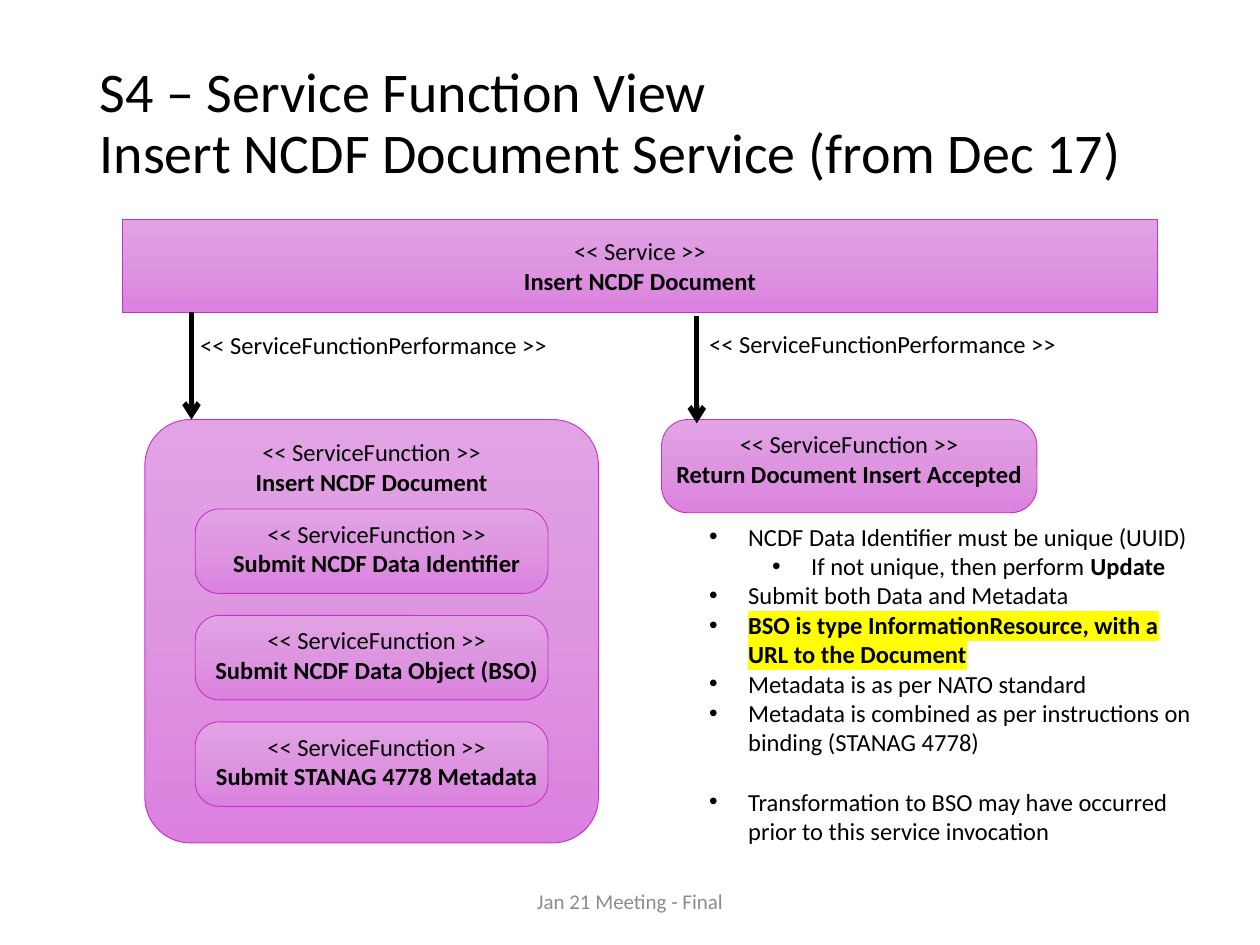
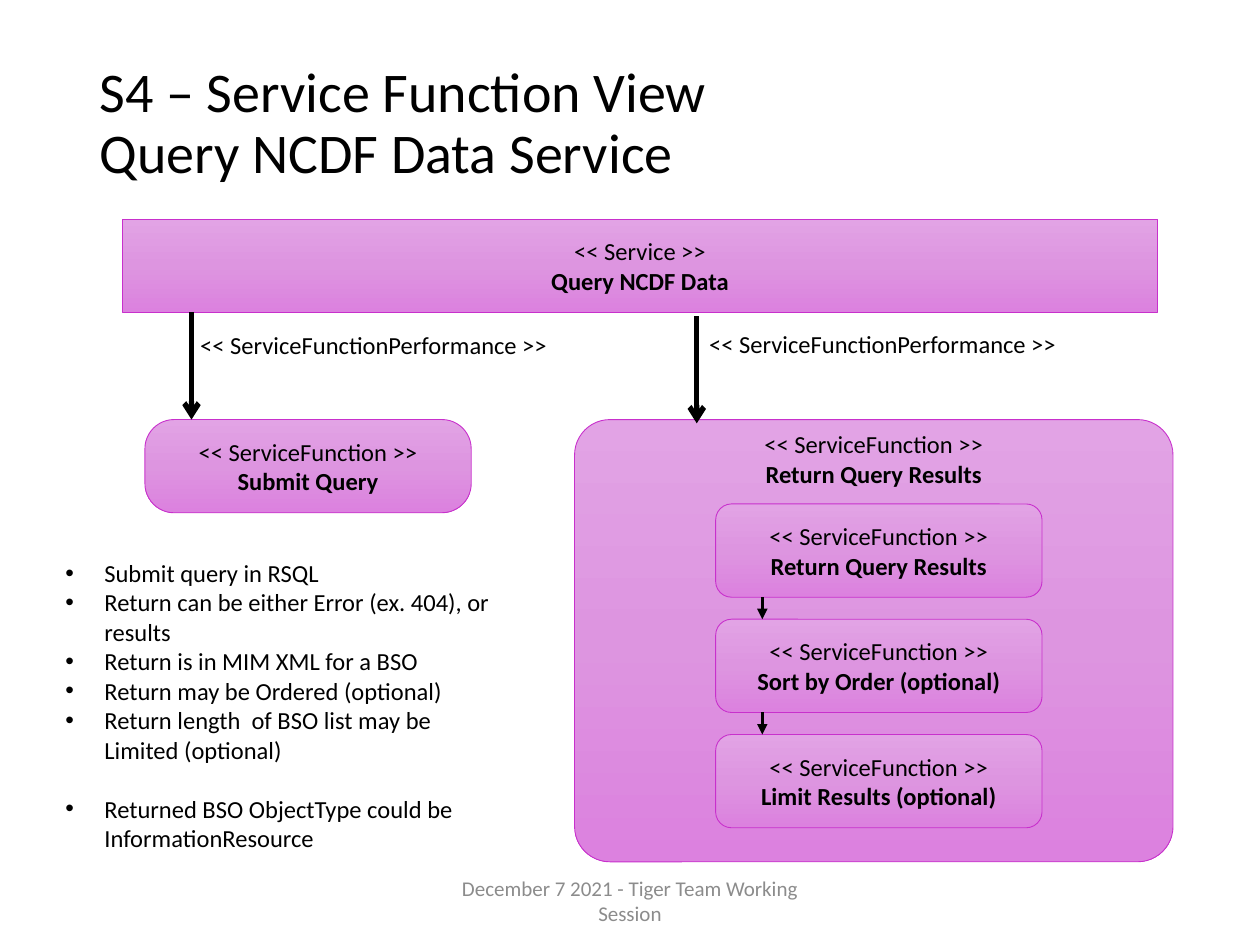
"""Build two service function view slides for NCDF services."""
from copy import deepcopy
from dataclasses import dataclass

from lxml import etree
from pptx import Presentation
from pptx import util as u
from pptx.dml.color import RGBColor
from pptx.enum import shapes, text
from pptx.oxml import ns

BLACK = RGBColor(0x00, 0x00, 0x00)
GREY = RGBColor(0x8C, 0x8C, 0x8C)
OUTLINE = RGBColor(0xC8, 0x30, 0xCC)
GRADIENT = (
    RGBColor(0xE2, 0xA3, 0xE5),
    RGBColor(0xDD, 0x95, 0xE0),
    RGBColor(0xDC, 0x81, 0xDF),
)
HIGHLIGHT = RGBColor(0xFF, 0xFF, 0x00)
FONT = "Calibri"
BODY_SIZE = 14
FUNCTION = "<< ServiceFunction >>"
PERFORMANCE = "<< ServiceFunctionPerformance >>"
RECTANGLE = shapes.MSO_SHAPE.RECTANGLE
ROUNDED = shapes.MSO_SHAPE.ROUNDED_RECTANGLE


@dataclass
class Bullet:
    text: str
    bold_end: str = ""
    level: int = 0
    marked: bool = False
    space_before: float = 0


class ServiceDeck:
    def __init__(self):
        self.presentation = Presentation()
        self.presentation.slide_width = u.Inches(10)
        self.presentation.slide_height = u.Inches(7.5)
        self.slide = None

    def style_run(self, run, size=BODY_SIZE, color=BLACK, bold=False):
        run.font.size = u.Pt(size)
        run.font.bold = bold
        run.font.color.rgb = color
        run.font.name = FONT

    def add_child(self, parent, tag, **attributes):
        return etree.SubElement(parent, ns.qn(tag), attributes)

    def start_slide(self, title, service, footer):
        self.slide = self.presentation.slides.add_slide(
            self.presentation.slide_layouts[5]
        )
        self.title(title)
        self.box(0.97, 1.74, 8.22, 0.74, kind=RECTANGLE,
                 lines=("<< Service >>", service))
        self.text_box(3.31, 6.95, 3.38, 0.4, (footer,), size=12, color=GREY,
                      anchor=text.MSO_ANCHOR.MIDDLE, wrap=True)

    def title(self, title):
        shape = self.slide.shapes.title
        shape.left, shape.top = u.Inches(0.69), u.Inches(0.4)
        shape.width, shape.height = u.Inches(8.62), u.Inches(1.18)
        frame = shape.text_frame
        frame.text = title
        frame.auto_size = text.MSO_AUTO_SIZE.NONE
        frame.vertical_anchor = text.MSO_ANCHOR.MIDDLE
        paragraph = frame.paragraphs[0]
        paragraph.alignment = text.PP_ALIGN.LEFT
        paragraph.line_spacing = 0.9
        for run in paragraph.runs:
            self.style_run(run, size=32)

    def write_lines(self, frame, lines, size=BODY_SIZE, color=BLACK,
                    alignment=text.PP_ALIGN.CENTER):
        frame.text = "\n".join(lines)
        for index, paragraph in enumerate(frame.paragraphs):
            paragraph.alignment = alignment
            for run in paragraph.runs:
                self.style_run(run, size, color, bold=index > 0)

    def fill_gradient(self, shape):
        shape.fill.gradient()
        shape.fill.gradient_angle = 270
        first = shape.element.spPr.find(".//" + ns.qn("a:gs"))
        first.addnext(deepcopy(first))
        stops = shape.fill.gradient_stops
        for stop, position, color in zip(stops, (0, 0.5, 1), GRADIENT):
            stop.position = position
            stop.color.rgb = color

    def box(self, left, top, width, height, lines=(), kind=ROUNDED, radius=0.17):
        shape = self.slide.shapes.add_shape(
            kind, u.Inches(left), u.Inches(top), u.Inches(width), u.Inches(height)
        )
        shape.shadow.inherit = False
        self.fill_gradient(shape)
        shape.line.color.rgb = OUTLINE
        shape.line.width = u.Pt(0.5)
        if kind == ROUNDED:
            shape.adjustments[0] = radius
        if lines:
            shape.text_frame.vertical_anchor = text.MSO_ANCHOR.MIDDLE
            self.write_lines(shape.text_frame, lines)

    def text_box(self, left, top, width, height, lines, wrap=False,
                 anchor=text.MSO_ANCHOR.TOP, **style):
        shape = self.slide.shapes.add_textbox(
            u.Inches(left), u.Inches(top), u.Inches(width), u.Inches(height)
        )
        frame = shape.text_frame
        frame.word_wrap = wrap
        frame.vertical_anchor = anchor
        self.write_lines(frame, lines, **style)
        return frame

    def arrow(self, x, top, bottom, width=3, head="arrow"):
        connector = self.slide.shapes.add_connector(
            shapes.MSO_CONNECTOR.STRAIGHT,
            u.Inches(x), u.Inches(top), u.Inches(x), u.Inches(bottom),
        )
        connector.line.color.rgb = BLACK
        connector.line.width = u.Pt(width)
        self.add_child(connector.line._get_or_add_ln(), "a:tailEnd", type=head)
        self.add_child(connector.element.spPr, "a:effectLst")

    def performance_arrows(self):
        self.arrow(1.52, 2.48, 3.33)
        self.arrow(5.53, 2.51, 3.36)
        for left, top in ((1.49, 2.57), (5.53, 2.56)):
            self.text_box(left, top, 2.98, 0.34, (PERFORMANCE,),
                          alignment=text.PP_ALIGN.LEFT)

    def mark(self, run):
        highlight = etree.Element(ns.qn("a:highlight"))
        self.add_child(highlight, "a:srgbClr", val=str(HIGHLIGHT))
        run.font._element.find(ns.qn("a:latin")).addprevious(highlight)

    def bullets(self, left, top, width, height, items):
        frame = self.text_box(left, top, width, height,
                              [item.text for item in items], wrap=True)
        for paragraph, item in zip(frame.paragraphs, items):
            paragraph.alignment = text.PP_ALIGN.LEFT
            paragraph.level = item.level
            paragraph.space_before = u.Pt(item.space_before)
            run = paragraph.runs[0]
            self.style_run(run, bold=item.marked)
            if item.marked:
                self.mark(run)
            if item.bold_end:
                ending = paragraph.add_run()
                ending.text = item.bold_end
                self.style_run(ending, bold=True)
            properties = paragraph._p.get_or_add_pPr()
            properties.set("marL", str(u.Inches(0.31 + 0.5 * item.level)))
            properties.set("indent", str(u.Inches(-0.31)))
            self.add_child(properties, "a:buFont", typeface="Arial")
            self.add_child(properties, "a:buChar", char="•")


def add_insert_slide(deck):
    deck.start_slide(
        "S4 – Service Function View\vInsert NCDF Document Service (from Dec 17)",
        "Insert NCDF Document", "Jan 21 Meeting - Final",
    )
    deck.box(1.15, 3.33, 3.6, 3.36, radius=0.108)
    deck.text_box(1.92, 3.42, 2.06, 0.57, (FUNCTION, "Insert NCDF Document"))
    steps = ("Submit NCDF Data Identifier", "Submit NCDF Data Object (BSO)",
             "Submit STANAG 4778 Metadata")
    for index, step in enumerate(steps):
        top = 4.04 + 0.845 * index
        deck.box(1.55, top, 2.8, 0.67, radius=0.283)
        deck.text_box(1.59, top + 0.03, 2.8, 0.57, (FUNCTION, step))
    deck.box(5.25, 3.33, 2.98, 0.74, radius=0.283)
    deck.text_box(5.26, 3.36, 2.96, 0.57,
                  (FUNCTION, "Return Document Insert Accepted"))
    deck.performance_arrows()
    deck.bullets(5.53, 4.09, 4.04, 2.69, (
        Bullet("NCDF Data Identifier must be unique (UUID)"),
        Bullet("If not unique, then perform ", bold_end="Update", level=1),
        Bullet("Submit both Data and Metadata"),
        Bullet("BSO is type InformationResource, with a URL to the Document",
               marked=True),
        Bullet("Metadata is as per NATO standard"),
        Bullet("Metadata is combined as per instructions on binding (STANAG 4778)"),
        Bullet("Transformation to BSO may have occurred prior to this service "
               "invocation", space_before=17),
    ))


def add_query_slide(deck):
    deck.start_slide(
        "S4 – Service Function View\vQuery NCDF Data Service",
        "Query NCDF Data", "December 7 2021 - Tiger Team Working Session",
    )
    deck.box(1.15, 3.33, 2.59, 0.74, (FUNCTION, "Submit Query"), radius=0.314)
    deck.box(4.56, 3.33, 4.75, 3.51, radius=0.08)
    deck.text_box(5.96, 3.36, 1.95, 0.57, (FUNCTION, "Return Query Results"))
    steps = ("Return Query Results", "Sort by Order (optional)",
             "Limit Results (optional)")
    pitch, height = 0.915, 0.74
    for index, step in enumerate(steps):
        top = 4 + pitch * index
        deck.box(5.68, top, 2.59, height, (FUNCTION, step))
        if index:
            deck.arrow(6.05, top - pitch + height, top, width=2, head="triangle")
    deck.performance_arrows()
    deck.bullets(0.42, 4.38, 3.58, 2.46, (
        Bullet("Submit query in RSQL"),
        Bullet("Return can be either Error (ex. 404), or results"),
        Bullet("Return is in MIM XML for a BSO"),
        Bullet("Return may be Ordered (optional)"),
        Bullet("Return length  of BSO list may be Limited (optional)"),
        Bullet("Returned BSO ObjectType could be InformationResource",
               space_before=17),
    ))


def main():
    deck = ServiceDeck()
    add_insert_slide(deck)
    add_query_slide(deck)
    deck.presentation.save("out.pptx")


if __name__ == "__main__":
    main()
